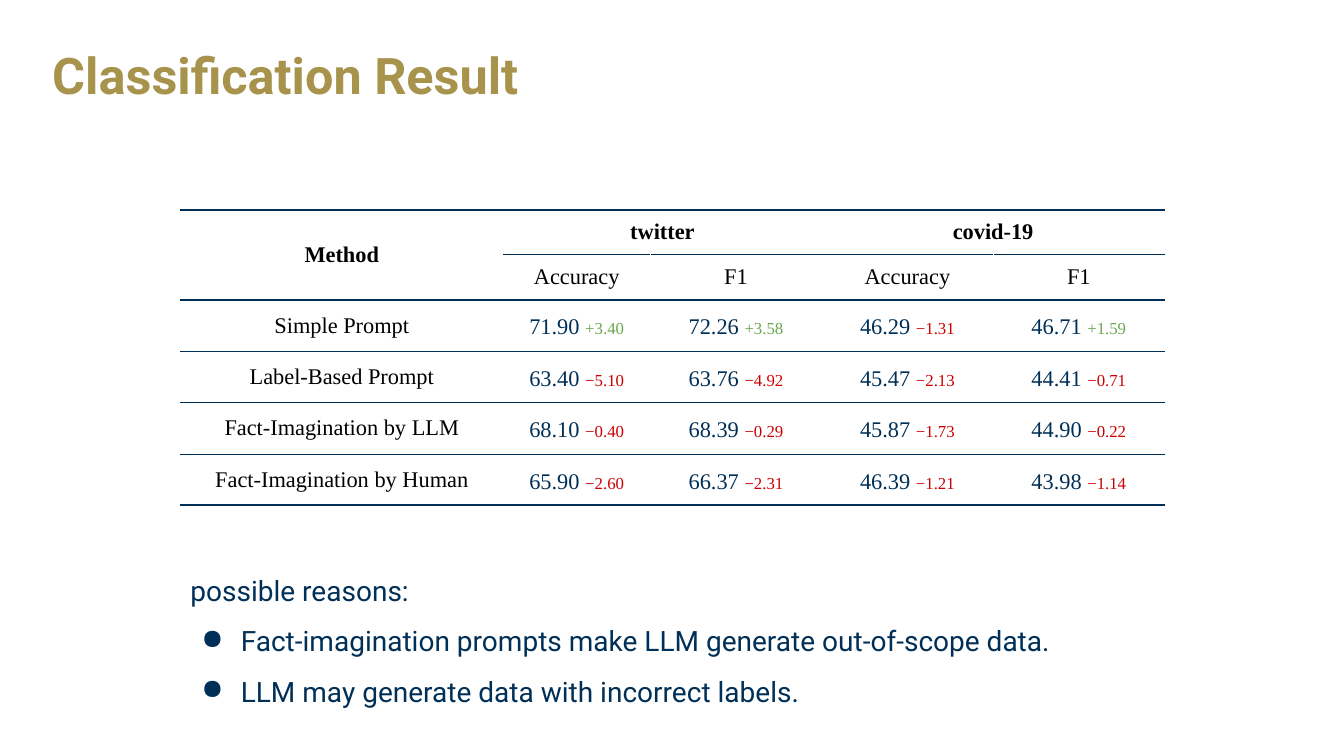
from lxml.etree import SubElement
from pptx import Presentation
from pptx.dml.color import RGBColor
from pptx.enum.text import MSO_ANCHOR as Anchor, PP_ALIGN as Align
from pptx.oxml import parse_xml
from pptx.oxml.ns import nsdecls, qn
from pptx.util import Inches, Pt

COLORS = {
    "gold": "A7934B",
    "navy": "003057",
    "black": "000000",
    "white": "FFFFFF",
    "gain": "6AA84F",
    "loss": "CC0000",
}
HEADING_FONT, TABLE_FONT = "Roboto", "Times New Roman"

COLUMN_WIDTHS = [3.2, 1.46, 1.7, 1.7, 1.7]
ROW_HEIGHTS = [0.42, 0.41] + [0.51] * 4
RULE_WEIGHTS = [1.5, 0.75, 1.5, 0.75, 0.75, 0.75, 1.5]
DATASETS = ["twitter", "covid-19"]
METRICS = ["Accuracy", "F1"]
RESULTS = [
    ("Simple Prompt", "71.90 +3.40", "72.26 +3.58", "46.29 −1.31", "46.71 +1.59"),
    ("Label-Based Prompt", "63.40 −5.10", "63.76 −4.92", "45.47 −2.13", "44.41 −0.71"),
    ("Fact-Imagination by LLM", "68.10 −0.40", "68.39 −0.29", "45.87 −1.73", "44.90 −0.22"),
    ("Fact-Imagination by Human", "65.90 −2.60", "66.37 −2.31", "46.39 −1.21", "43.98 −1.14"),
]
REASONS = [
    "Fact-imagination prompts make LLM generate out-of-scope data.",
    "LLM may generate data with incorrect labels.",
]


def add_run(paragraph, text, size, color, font=TABLE_FONT, bold=False):
    run = paragraph.add_run()
    run.text = text
    run.font.name = font
    run.font.size = Pt(size)
    run.font.bold = bold
    run.font.color.rgb = RGBColor.from_string(COLORS[color])


def add_text_box(slide, left, top, width, height, inset):
    """Add a wrapping text box and return its text frame."""
    frame = slide.shapes.add_textbox(
        Inches(left), Inches(top), Inches(width), Inches(height)).text_frame
    frame.word_wrap = True
    frame.margin_left = frame.margin_right = Inches(0.1)
    frame.margin_top = frame.margin_bottom = Inches(inset)
    return frame


def add_title(slide, text):
    frame = add_text_box(slide, 0.42, 0.22, 12.5, 1.11, 0.05)
    frame.vertical_anchor = Anchor.MIDDLE
    paragraph = frame.paragraphs[0]
    paragraph.line_spacing = 0.9
    add_run(paragraph, text, 36, "gold", HEADING_FONT, bold=True)


def set_bullet(paragraph):
    properties = paragraph._p.get_or_add_pPr()
    properties.set("marL", str(Inches(0.5)))
    properties.set("indent", str(Inches(-0.39)))
    bullet_color = SubElement(properties, qn("a:buClr"))
    SubElement(bullet_color, qn("a:srgbClr"), val=COLORS["navy"])
    SubElement(properties, qn("a:buChar"), char="●")


def add_reasons(slide, heading, reasons):
    frame = add_text_box(slide, 1.79, 5.42, 9.76, 1.55, 0.1)
    for index, text in enumerate([heading, *reasons]):
        paragraph = frame.add_paragraph() if index else frame.paragraphs[0]
        paragraph.line_spacing = 1.5
        if index:
            set_bullet(paragraph)
        add_run(paragraph, text, 20, "navy", HEADING_FONT)


def set_borders(cell, **borders):
    """Draw the given sides (L, R, T, B) as (color, weight); clear the others."""
    properties = cell._tc.get_or_add_tcPr()
    for index, side in enumerate("LRTB"):
        color, weight = borders.get(side, (None, 0))
        fill = (f'<a:solidFill><a:srgbClr val="{COLORS[color]}"/></a:solidFill>'
                if color else "<a:noFill/>")
        line = parse_xml(
            f'<a:ln{side} {nsdecls("a")} w="{Pt(weight)}">{fill}</a:ln{side}>')
        properties.insert(index, line)


def format_cell(cell, row, column):
    cell.fill.background()
    cell.vertical_anchor = Anchor.MIDDLE
    cell.margin_left = cell.margin_right = Inches(0.1)
    cell.margin_top = cell.margin_bottom = Inches(0.1)
    cell.text_frame.paragraphs[0].alignment = Align.CENTER

    method_header = column == 0 and row < 2
    borders = {"B": ("navy", RULE_WEIGHTS[2 if method_header else row + 1])}
    if not (method_header and row == 1):
        borders["T"] = ("navy", RULE_WEIGHTS[row])
    if row == 1 and column > 0:
        borders["R" if column % 2 else "L"] = ("white", 0.75)
    set_borders(cell, **borders)


def write_label(cell, text, bold=False):
    add_run(cell.text_frame.paragraphs[0], text, 16, "black", bold=bold)


def write_score(cell, result):
    """Write a score followed by its smaller, coloured change."""
    score, change = result.split()
    paragraph = cell.text_frame.paragraphs[0]
    paragraph.line_spacing = 1.15
    add_run(paragraph, score + " ", 16, "navy")
    add_run(paragraph, change, 12, "gain" if change.startswith("+") else "loss")


def add_results_table(slide):
    table = slide.shapes.add_table(
        len(ROW_HEIGHTS), len(COLUMN_WIDTHS), Inches(1.79), Inches(2.08),
        Inches(sum(COLUMN_WIDTHS)), Inches(sum(ROW_HEIGHTS))).table
    table.first_row = table.horz_banding = False
    for column, width in zip(table.columns, COLUMN_WIDTHS):
        column.width = Inches(width)
    for row, height in zip(table.rows, ROW_HEIGHTS):
        row.height = Inches(height)
    for row in range(len(ROW_HEIGHTS)):
        for column in range(len(COLUMN_WIDTHS)):
            format_cell(table.cell(row, column), row, column)

    table.cell(0, 0).merge(table.cell(1, 0))
    write_label(table.cell(0, 0), "Method", bold=True)
    for index, dataset in enumerate(DATASETS):
        first = 1 + index * len(METRICS)
        table.cell(0, first).merge(table.cell(0, first + len(METRICS) - 1))
        write_label(table.cell(0, first), dataset, bold=True)
        for offset, metric in enumerate(METRICS):
            write_label(table.cell(1, first + offset), metric)

    for row, (method, *scores) in enumerate(RESULTS, start=2):
        write_label(table.cell(row, 0), method)
        for column, result in enumerate(scores, start=1):
            write_score(table.cell(row, column), result)


def main():
    presentation = Presentation()
    presentation.slide_width = Inches(13.33)
    presentation.slide_height = Inches(7.5)
    slide = presentation.slides.add_slide(presentation.slide_layouts[6])
    add_results_table(slide)
    add_title(slide, "Classification Result")
    add_reasons(slide, "possible reasons:", REASONS)
    presentation.save("out.pptx")


if __name__ == "__main__":
    main()
